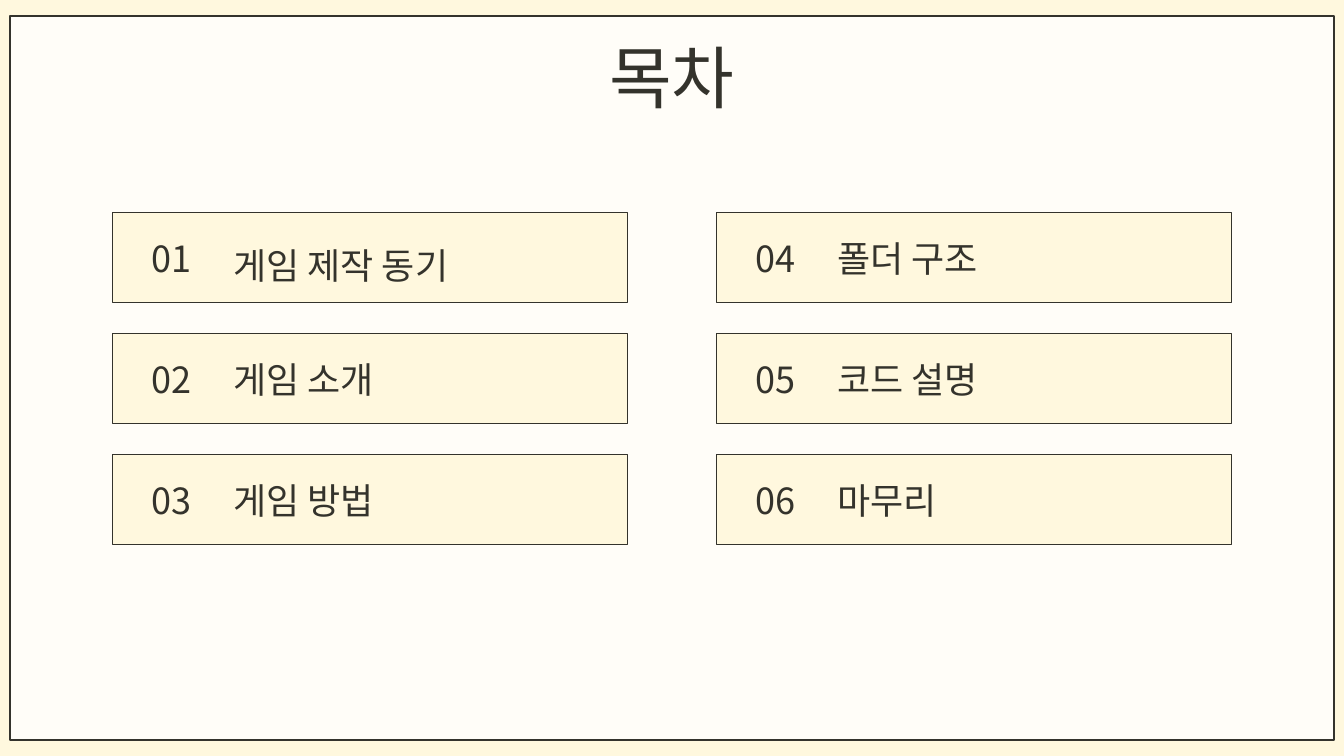
import pptx
import pptx.util
import pptx.dml.color
import pptx.enum.shapes
import pptx.enum.text
import pptx.oxml.ns
import lxml.etree

PX = 9144
FONT = "Noto Sans CJK KR"
CREAM = "FFF8DE"
PAPER = "FFFDF8"
INK = "34332C"
LEFT = pptx.enum.text.PP_ALIGN.LEFT
CENTER = pptx.enum.text.PP_ALIGN.CENTER

TOPICS = ["게임 제작 동기", "게임 소개", "게임 방법", "폴더 구조", "코드 설명", "마무리"]
ROWS = 3
COLUMN_LEFTS = [167, 1066]
TITLE_WIDTHS = [489, 527]
FIRST_TOP = 316
ROW_STEP = 180


def px(*lengths):
    return [pptx.util.Emu(length * PX) for length in lengths]


def color(value):
    return pptx.dml.color.RGBColor.from_string(value)


def add_panel(slide, left, top, width, height, fill):
    kind = pptx.enum.shapes.MSO_SHAPE.RECTANGLE
    panel = slide.shapes.add_shape(kind, *px(left, top, width, height))
    panel.shadow.inherit = False
    panel.fill.solid()
    panel.fill.fore_color.rgb = color(fill)
    panel.line.color.rgb = color(INK)
    panel.line.width = pptx.util.Pt(1.5)


def add_text(slide, left, top, width, height, text, size, spacing, align):
    box = slide.shapes.add_textbox(*px(left, top, width, height))
    frame = box.text_frame
    frame.word_wrap = True
    frame.margin_left = frame.margin_right = 0
    frame.margin_top = frame.margin_bottom = 0
    para = frame.paragraphs[0]
    para.alignment = align
    para.line_spacing = pptx.util.Pt(spacing)
    span = para.add_run()
    span.text = text
    span.font.size = pptx.util.Pt(size)
    span.font.color.rgb = color(INK)
    span.font.name = FONT
    east_asian = lxml.etree.SubElement(span.font._element, pptx.oxml.ns.qn("a:ea"))
    east_asian.set("typeface", FONT)


def add_topic(slide, index, topic):
    column, row = divmod(index, ROWS)
    left = COLUMN_LEFTS[column]
    top = FIRST_TOP + row * ROW_STEP
    title_top = top + (28 if index == 0 else 19)
    add_panel(slide, left, top, 767, 134, CREAM)
    add_text(slide, left + 48, top + 19, 80, 80, f"{index + 1:02d}", 38.6, 59, CENTER)
    add_text(slide, left + 180, title_top, TITLE_WIDTHS[column], 80, topic, 38.6, 59, LEFT)


def main():
    deck = pptx.Presentation()
    deck.slide_width, deck.slide_height = px(2000, 1125)
    slide = deck.slides.add_slide(deck.slide_layouts[6])
    slide.background.fill.solid()
    slide.background.fill.fore_color.rgb = color(CREAM)
    add_panel(slide, 15, 24, 1970, 1077, PAPER)
    add_text(slide, 622, 43, 756, 131, "목차", 73, 94.2, CENTER)
    for index, topic in enumerate(TOPICS):
        add_topic(slide, index, topic)
    deck.save("out.pptx")


if __name__ == "__main__":
    main()
